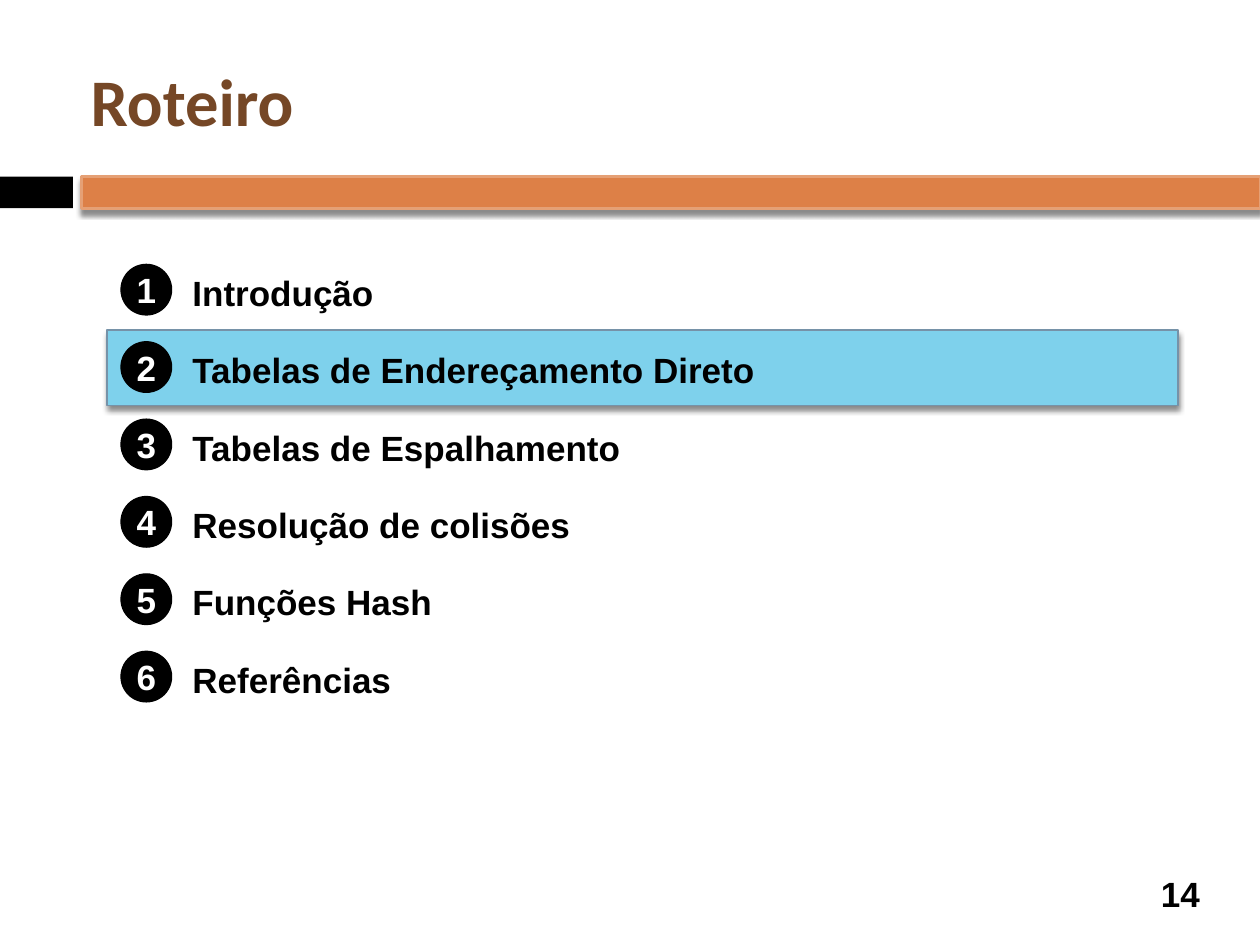
from lxml import etree
from pptx import Presentation
from pptx.dml.color import RGBColor
from pptx.enum.shapes import MSO_SHAPE
from pptx.enum.text import MSO_ANCHOR, PP_ALIGN
from pptx.oxml.ns import qn
from pptx.util import Cm, Pt

RECT, ROUNDED, OVAL = MSO_SHAPE.RECTANGLE, MSO_SHAPE.ROUNDED_RECTANGLE, MSO_SHAPE.OVAL
LEFT, CENTER = PP_ALIGN.LEFT, PP_ALIGN.CENTER
TOP, MIDDLE = MSO_ANCHOR.TOP, MSO_ANCHOR.MIDDLE

BLACK, WHITE = "000000", "FFFFFF"
TOPICS = ["Introdução", "Tabelas de Endereçamento Direto", "Tabelas de Espalhamento",
          "Resolução de colisões", "Funções Hash", "Referências"]
CURRENT_TOPIC = 2


def color(hex_code):
    return RGBColor.from_string(hex_code)


def write(shape, text, font="Arial", size=20, fill=BLACK, align=LEFT, anchor=TOP,
          wrap=True, inset=0.13):
    frame = shape.text_frame
    frame.word_wrap = wrap
    frame.vertical_anchor = anchor
    frame.margin_left = frame.margin_right = Cm(inset)
    frame.margin_top = frame.margin_bottom = Cm(inset)
    paragraph = frame.paragraphs[0]
    paragraph.alignment = align
    run = paragraph.add_run()
    run.text = text
    run.font.name, run.font.size, run.font.bold = font, Pt(size), True
    run.font.color.rgb = color(fill)


def add_text(slide, box, text, **style):
    write(slide.shapes.add_textbox(*map(Cm, box)), text, **style)


def add_block(slide, kind, box, fill, line=None, line_width=0.75, shadow=False):
    block = slide.shapes.add_shape(kind, *map(Cm, box))
    block.fill.solid()
    block.fill.fore_color.rgb = color(fill)
    if line:
        block.line.color.rgb = color(line)
        block.line.width = Pt(line_width)
    else:
        block.line.fill.background()
    block.shadow.inherit = False
    if shadow:
        effects = block._element.spPr.find(qn("a:effectLst"))
        outer = etree.SubElement(effects, qn("a:outerShdw"), blurRad=str(Pt(3)),
                                 dist=str(Pt(2.4)), dir="5400000", algn="ctr", rotWithShape="0")
        tint = etree.SubElement(outer, qn("a:srgbClr"), val=BLACK)
        etree.SubElement(tint, qn("a:alpha"), val="45000")
    return block


def add_header(slide, left, top, width, height):
    # Title above a black tab and an orange band
    band_top, band_height, tab_width, band_left = top + 3.56, 0.64, 1.47, 1.65
    add_block(slide, RECT, (left, band_top, tab_width, band_height), BLACK)
    add_block(slide, RECT, (left + band_left, band_top, width - band_left, band_height),
              "DD8047", line="E5A075", line_width=1.5, shadow=True)
    add_text(slide, (left + 1.7, top + 0.64, 22.66, height - 1.46), "Roteiro",
             font="Calibri", size=38, fill="754726", anchor=MIDDLE)


def add_agenda(slide, left, top, width, height):
    pitch, badge_size = height / len(TOPICS), 1.02
    for number, topic in enumerate(TOPICS, start=1):
        row_top = top + (number - 1) * pitch
        # Highlight behind the current topic
        if number == CURRENT_TOPIC:
            bar = add_block(slide, ROUNDED, (left - 0.28, row_top - 0.24, width, 1.52),
                            "7ED1EC", line="7692A8", line_width=0.79, shadow=True)
            bar.adjustments[0] = 0
        # Numbered badge and topic
        badge = add_block(slide, OVAL, (left, row_top, badge_size, badge_size),
                          BLACK, line=BLACK)
        write(badge, str(number), fill=WHITE, align=CENTER, anchor=MIDDLE,
              wrap=False, inset=0)
        add_text(slide, (left + 1.31, row_top + 0.01, 13, 1.04), topic)


def add_page_number(slide, left, top, width, height):
    add_text(slide, (left, top, width, height), "14", align=CENTER, anchor=MIDDLE)


def main():
    deck = Presentation()
    deck.slide_width, deck.slide_height = Cm(25.4), Cm(19.05)
    slide = deck.slides.add_slide(deck.slide_layouts[6])
    add_header(slide, 0, 0, 25.4, 4.2)
    add_agenda(slide, 2.44, 5.33, 21.59, 9.36)
    add_page_number(slide, 23.06, 17.5, 1.47, 1.04)
    deck.save("out.pptx")


if __name__ == "__main__":
    main()
